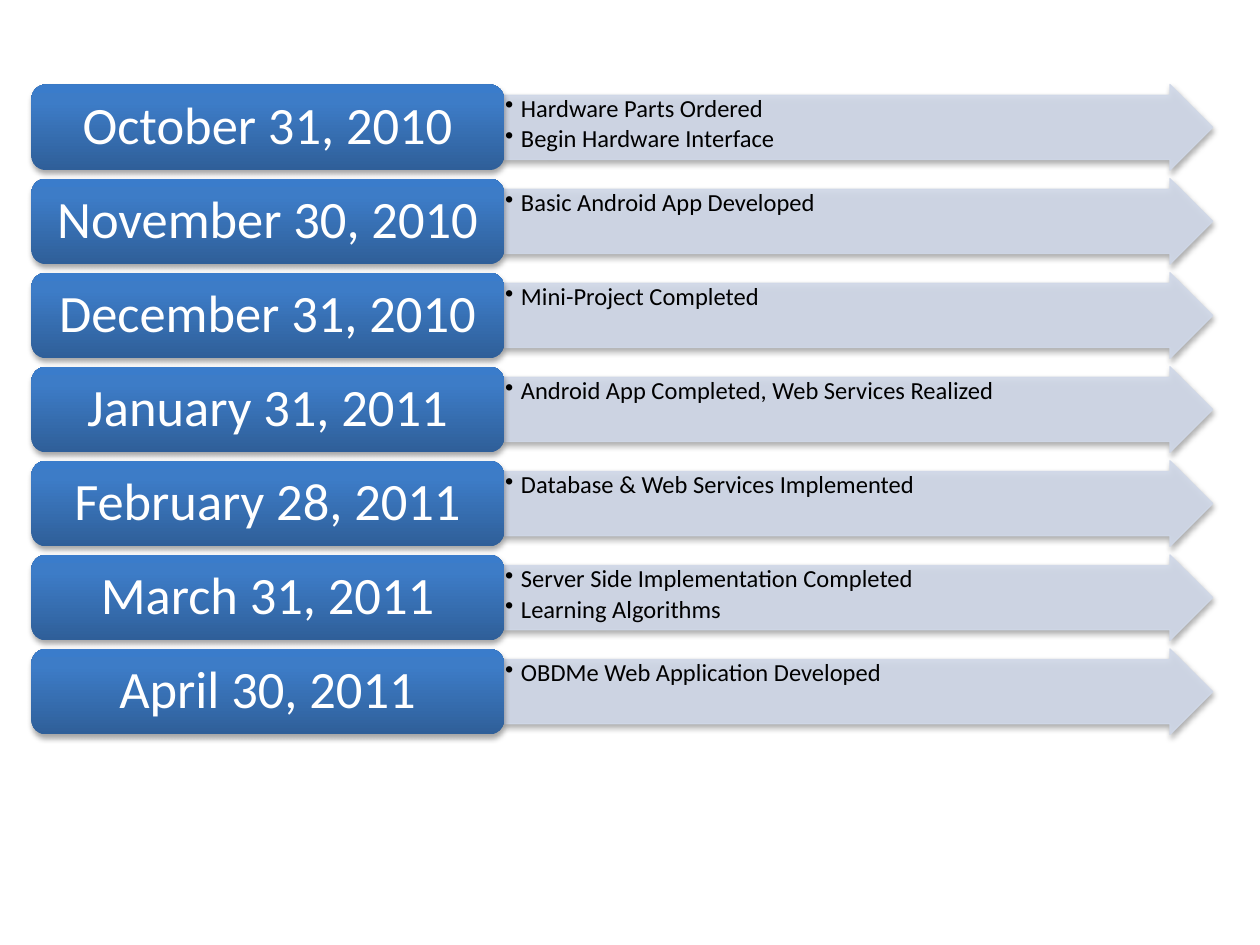
import copy
from dataclasses import dataclass

import pptx
import pptx.dml.color
import pptx.enum.shapes
import pptx.enum.text
import pptx.oxml
import pptx.oxml.ns
import pptx.util
from pptx.util import Pt

SHAPES = pptx.enum.shapes.MSO_SHAPE
ALIGN = pptx.enum.text.PP_ALIGN
ANCHOR = pptx.enum.text.MSO_ANCHOR
qn = pptx.oxml.ns.qn


@dataclass(frozen=True)
class Theme:
    font: str = "Calibri"
    date_size: float = 30
    task_size: float = 14
    date_text: str = "FFFFFF"
    task_text: str = "000000"
    arrow: str = "D0D8E8"
    arrow_opacity: int = 90
    gradient: tuple = ((0, "2F5F99"), (0.8, "3D7CC7"), (1, "3A7CCB"))
    shadow: str = "000000"
    shadow_opacity: int = 35


MILESTONES = [
    ("October 31, 2010", ["Hardware Parts Ordered", "Begin Hardware Interface"]),
    ("November 30, 2010", ["Basic Android App Developed"]),
    ("December 31, 2010", ["Mini-Project Completed"]),
    ("January 31, 2011", ["Android App Completed, Web Services Realized"]),
    ("February 28, 2011", ["Database & Web Services Implemented"]),
    ("March 31, 2011", ["Server Side Implementation Completed", "Learning Algorithms"]),
    ("April 30, 2011", ["OBDMe Web Application Developed"]),
]

DATE_LEFT, DATE_WIDTH = 18, 270
ARROW_LEFT, ARROW_WIDTH = DATE_LEFT + DATE_WIDTH, 405
FIRST_TOP, ROW_HEIGHT, ROW_PITCH = 48.3, 48.9, 53.75


def rgb(value):
    return pptx.dml.color.RGBColor.from_string(value)


def apply(target, values):
    for name, value in values.items():
        setattr(target, name, value)


def set_opacity(color_parent, percent):
    color = next(color_parent.iter(qn("a:srgbClr")))
    alpha = color.makeelement(qn("a:alpha"), {"val": str(percent * 1000)})
    color.append(alpha)


class TimelineSlide:
    def __init__(self, slide, theme):
        self.slide = slide
        self.theme = theme

    def add_shape(self, kind, left, top, width, height):
        shape = self.slide.shapes.add_shape(
            kind, Pt(left), Pt(top), Pt(width), Pt(height))
        self.add_shadow(shape)
        return shape

    def add_shadow(self, shape):
        shape.shadow.inherit = False
        effects = shape._element.spPr.find(qn("a:effectLst"))
        effects.append(pptx.oxml.parse_xml(
            f'<a:outerShdw {pptx.oxml.ns.nsdecls("a")} blurRad="{Pt(3.1)}" '
            f'dist="{Pt(1.8)}" dir="5400000" rotWithShape="0">'
            f'<a:srgbClr val="{self.theme.shadow}"/></a:outerShdw>'))
        set_opacity(effects, self.theme.shadow_opacity)

    def add_gradient(self, shape):
        shape.fill.gradient()
        shape.fill.gradient_angle = 90
        stop_list = next(shape._element.spPr.iter(qn("a:gsLst")))
        while len(stop_list) < len(self.theme.gradient):
            stop_list.append(copy.deepcopy(stop_list[-1]))
        for stop, (position, color) in zip(shape.fill.gradient_stops, self.theme.gradient):
            stop.position = position
            stop.color.rgb = rgb(color)

    def add_text(self, shape, lines, frame_format, paragraph_format, size, color):
        frame = shape.text_frame
        apply(frame, {"word_wrap": True, **frame_format})
        frame.text = "\n".join(lines)
        for paragraph in frame.paragraphs:
            apply(paragraph, {"line_spacing": 0.9, **paragraph_format})
            for run in paragraph.runs:
                apply(run.font, {"name": self.theme.font, "size": Pt(size)})
                run.font.color.rgb = rgb(color)
        return frame

    def add_date(self, top, date):
        box = self.add_shape(SHAPES.ROUNDED_RECTANGLE, DATE_LEFT, top, DATE_WIDTH, ROW_HEIGHT)
        self.add_gradient(box)
        box.line.fill.background()
        margins = {"margin_left": Pt(9), "margin_right": Pt(9),
                   "margin_top": Pt(4.5), "margin_bottom": Pt(4.5)}
        self.add_text(box, [date], {"vertical_anchor": ANCHOR.MIDDLE, **margins},
                      {"alignment": ALIGN.CENTER},
                      self.theme.date_size, self.theme.date_text)

    def add_tasks(self, top, tasks):
        arrow = self.add_shape(SHAPES.RIGHT_ARROW, ARROW_LEFT, top, ARROW_WIDTH, ROW_HEIGHT)
        arrow.adjustments[0] = 0.75
        arrow.adjustments[1] = 0.5
        arrow.fill.solid()
        arrow.fill.fore_color.rgb = rgb(self.theme.arrow)
        arrow.line.color.rgb = rgb(self.theme.arrow)
        arrow.line.width = Pt(0.75)
        properties = arrow._element.spPr
        for tag in ("a:solidFill", "a:ln"):
            set_opacity(properties.find(qn(tag)), self.theme.arrow_opacity)
        margins = {f"margin_{side}": Pt(0.7) for side in ("left", "right", "top", "bottom")}
        frame = self.add_text(arrow, tasks, {"vertical_anchor": ANCHOR.TOP, **margins},
                              {"alignment": ALIGN.LEFT, "level": 1, "space_after": Pt(2.1)},
                              self.theme.task_size, self.theme.task_text)
        for paragraph in frame.paragraphs:
            self.add_bullet(paragraph)

    def add_bullet(self, paragraph):
        properties = paragraph._p.get_or_add_pPr()
        properties.set("marL", str(Pt(9)))
        properties.set("indent", str(-Pt(9)))
        properties.append(properties.makeelement(qn("a:buChar"), {"char": "•"}))


def main():
    presentation = pptx.Presentation()
    apply(presentation, {"slide_width": Pt(720), "slide_height": Pt(540)})
    blank_layout = presentation.slide_layouts[6]
    timeline = TimelineSlide(presentation.slides.add_slide(blank_layout), Theme())
    for row, (date, tasks) in enumerate(MILESTONES):
        top = FIRST_TOP + row * ROW_PITCH
        timeline.add_tasks(top, tasks)
        timeline.add_date(top, date)
    presentation.save("out.pptx")


if __name__ == "__main__":
    main()
